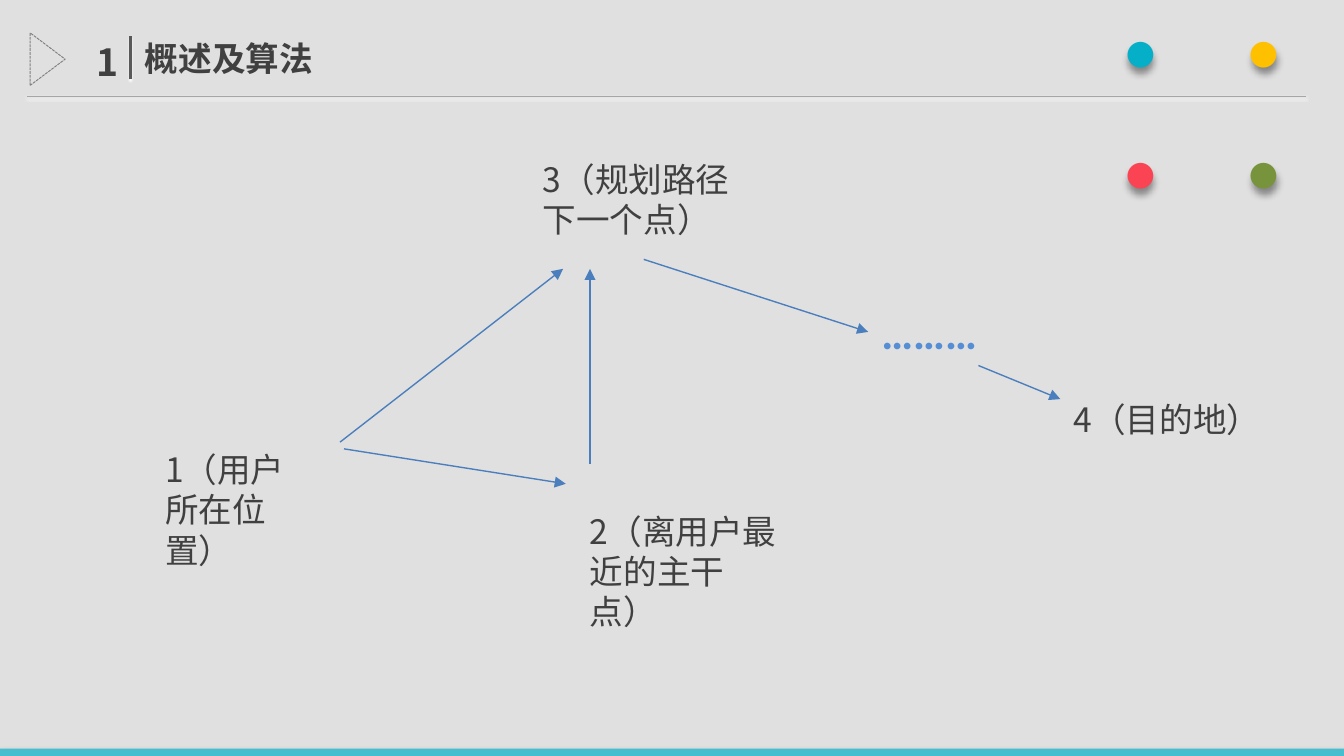
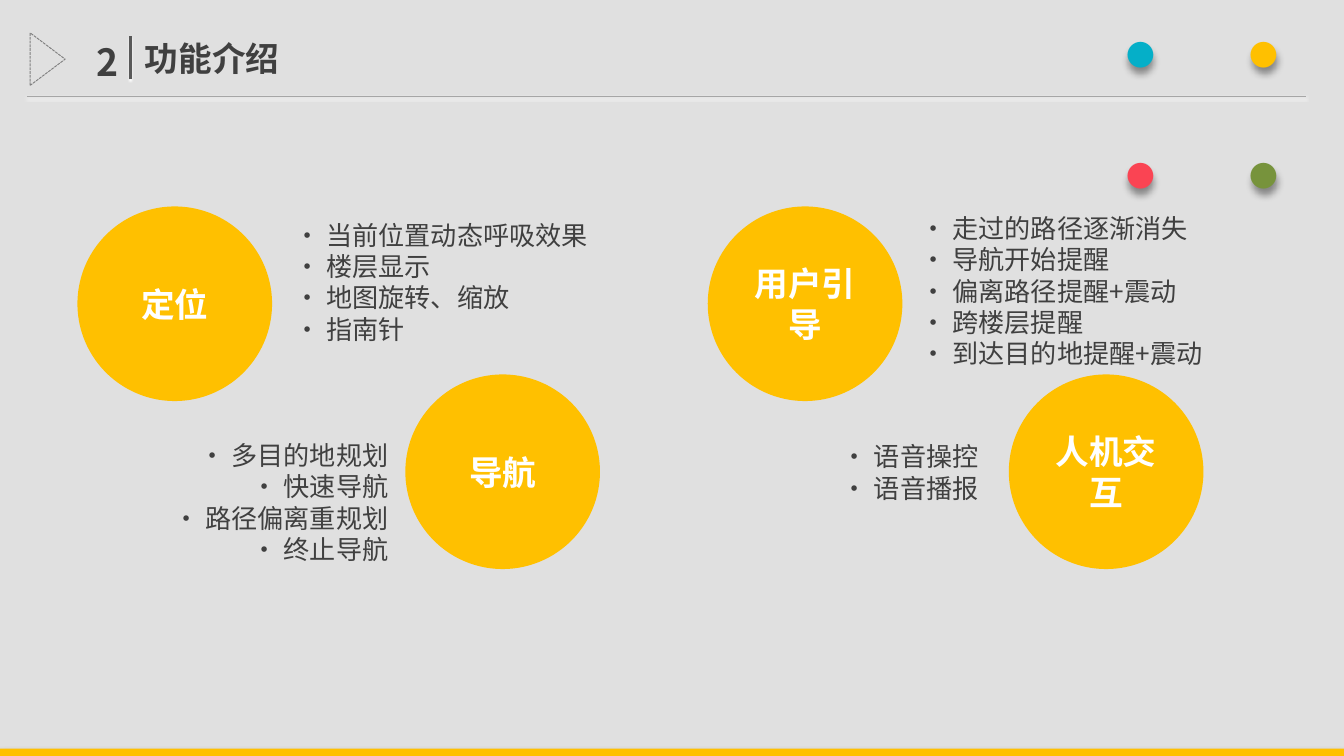
from lxml.etree import SubElement
from pptx import Presentation
from pptx.dml.color import RGBColor
from pptx.enum.dml import MSO_LINE
from pptx.enum.shapes import MSO_CONNECTOR, MSO_SHAPE
from pptx.enum.text import MSO_ANCHOR, MSO_AUTO_SIZE, PP_ALIGN
from pptx.oxml.ns import qn
from pptx.util import Inches, Pt

FONT = "Noto Sans CJK SC"
DARK, WHITE, BLACK = "404040", "FFFFFF", "000000"
TEAL, GOLD, BLUE = "47BECF", "FFC000", "4B7EBC"
LEFT, MID, RIGHT = PP_ALIGN.LEFT, PP_ALIGN.CENTER, PP_ALIGN.RIGHT

DOTS = [("· ", "05AFC8"), ("· ", GOLD), ("·", "FA4453"), (" ·", "77933C")]

# text, left, top, width, height
NODES = [
    ("1（用户所在位置）", 1.13, 3.29, 1.28, 0.71),
    ("2（离用户最近的主干点）", 4.29, 3.75, 1.69, 0.71),
    ("3（规划路径下一个点）", 3.94, 1.13, 1.69, 0.71),
    ("4（目的地）", 7.89, 2.92, 1.69, 0.4),
]
MORE = ("………", 6.46, 2.22, 1, 0.5)
TO_MORE = (4.79, 1.93, 6.46, 2.48)
ARROWS = [
    (2.53, 3.29, 4.19, 2),
    (2.56, 3.34, 4.21, 3.6),
    (4.39, 3.45, 4.39, 2),
    (7.28, 2.72, 7.89, 2.97),
]

# name, circle left and top, list left and top, alignment, items
SIZE, WIDE = 1.42, 2.44
FEATURES = [
    ("定位", 0.59, 1.55, 2.09, 1.58, LEFT,
     ["当前位置动态呼吸效果", "楼层显示", "地图旋转、缩放", "指南针"]),
    ("导航", 3.03, 2.8, 0.55, 3.22, RIGHT,
     ["多目的地规划", "快速导航", "路径偏离重规划", "终止导航"]),
    ("用户引导", 5.28, 1.55, 6.75, 1.53, LEFT,
     ["走过的路径逐渐消失", "导航开始提醒", "偏离路径提醒+震动",
      "跨楼层提醒", "到达目的地提醒+震动"]),
    ("人机交互", 7.52, 2.8, 4.94, 3.23, RIGHT, ["语音操控", "语音播报"]),
]


def rgb(code):
    return RGBColor.from_string(code)


def shade(part, code=None, alpha=100, blur=1, dist=1):
    """Drop the theme shadow; with a colour, cast one straight down."""
    props = part._element.spPr
    box = props.find(qn("a:effectLst"))
    if box is None:
        box = SubElement(props, qn("a:effectLst"))
    if code:
        cast = SubElement(box, qn("a:outerShdw"), blurRad=str(Pt(blur)),
                          dist=str(Pt(dist)), dir="5400000",
                          algn="t", rotWithShape="0")
        tint = SubElement(cast, qn("a:srgbClr"), val=code)
        SubElement(tint, qn("a:alpha"), val=str(alpha * 1000))


def shape(slide, kind, x, y, w, h, fill=None):
    part = slide.shapes.add_shape(kind, *map(Inches, (x, y, w, h)))
    part.shadow.inherit = False
    part.line.fill.background()
    if fill:
        part.fill.solid()
        part.fill.fore_color.rgb = rgb(fill)
    else:
        part.fill.background()
    return part


def line(slide, ends, code, width=0.75, arrow=False):
    part = slide.shapes.add_connector(MSO_CONNECTOR.STRAIGHT,
                                      *map(Inches, ends))
    part.line.color.rgb = rgb(code)
    part.line.width = Pt(width)
    if arrow:
        SubElement(part.line._get_or_add_ln(), qn("a:tailEnd"),
                   type="triangle")
    return part


def write(frame, rows, size, bold=False, align=LEFT, font=FONT):
    """Fill a frame; each row is a list of (text, colour) runs."""
    frame.word_wrap = True
    for num, row in enumerate(rows):
        para = frame.add_paragraph() if num else frame.paragraphs[0]
        para.alignment = align
        for words, code in row:
            run = para.add_run()
            run.text = words
            run.font.size = Pt(size)
            run.font.bold = bold
            run.font.color.rgb = rgb(code)
            run.font.name = font
            SubElement(run.font._element, qn("a:ea"), typeface=font)


def text(slide, x, y, w, h, rows, size, **style):
    part = slide.shapes.add_textbox(*map(Inches, (x, y, w, h)))
    write(part.text_frame, rows, size, **style)
    part.text_frame.auto_size = MSO_AUTO_SIZE.SHAPE_TO_FIT_TEXT
    return part


def start(deck, num, title, band):
    """Add a slide with the shared ground, header and bottom band."""
    slide = deck.slides.add_slide(deck.slide_layouts[6])
    fill = slide.background.fill
    fill.solid()
    fill.fore_color.rgb = rgb(WHITE)
    ground = shape(slide, MSO_SHAPE.RECTANGLE, 0, -0.04, 10, 5.77, BLACK)
    tint = ground._element.spPr.find(".//" + qn("a:srgbClr"))
    SubElement(tint, qn("a:alpha"), val="12000")

    shade(line(slide, (0.97, 0.59, 0.97, 0.27), "595959", 1.5), WHITE)
    shade(line(slide, (0.2, 0.72, 9.72, 0.72), "A6A6A6"), WHITE)
    text(slide, 0.12, 0.24, 0.86, 0.44, [[(num, DARK)]], 20,
         bold=True, align=RIGHT)
    text(slide, 0.98, 0.23, 3.31, 0.4, [[(title, DARK)]], 18, bold=True)

    mark = shape(slide, MSO_SHAPE.FLOWCHART_MERGE, 0.16, 0.31, 0.39, 0.26)
    mark.rotation = 270
    mark.line.color.rgb = rgb("808080")
    mark.line.width = Pt(0.5)
    mark.line.dash_style = MSO_LINE.SQUARE_DOT

    foot = shape(slide, MSO_SHAPE.RECTANGLE, 0, 5.57, 10, 0.16, band)
    shade(foot, BLACK, 40, 4, 3)
    dots = text(slide, 7.5, -0.1, 2.38, 1.01, [DOTS], 54,
                bold=True, align=RIGHT)
    shade(dots, BLACK, 40, 4, 3)
    return slide


def route(deck):
    slide = start(deck, "1", "概述及算法", TEAL)
    for words, *place in NODES:
        text(slide, *place, [[(words, DARK)]], 18)
    words, *place = MORE
    more = text(slide, *place, [[(words, "558ED5")]], 24,
                bold=True, font="Calibri")
    for ends in ARROWS:
        shade(line(slide, ends, BLUE, arrow=True))
    link = line(slide, TO_MORE, BLUE, arrow=True)
    link.end_connect(more, 1)
    shade(link)


def features(deck):
    slide = start(deck, "2", "功能介绍", GOLD)
    for name, x, y, left, top, align, items in FEATURES:
        disc = shape(slide, MSO_SHAPE.FLOWCHART_CONNECTOR,
                     x, y, SIZE, SIZE, GOLD)
        disc.line.color.rgb = rgb(GOLD)
        disc.line.width = Pt(2)
        disc.text_frame.vertical_anchor = MSO_ANCHOR.MIDDLE
        write(disc.text_frame, [[(name, WHITE)]], 18, bold=True, align=MID)
        rows = [[("· " + item, DARK)] for item in items]
        high = 0.1 + 0.235 * len(rows)
        text(slide, left, top, WIDE, high, rows, 14, align=align)


def main():
    deck = Presentation()
    deck.slide_width = Inches(10)
    deck.slide_height = deck.slide_width * 9 // 16
    route(deck)
    features(deck)
    deck.save("out.pptx")


if __name__ == "__main__":
    main()
